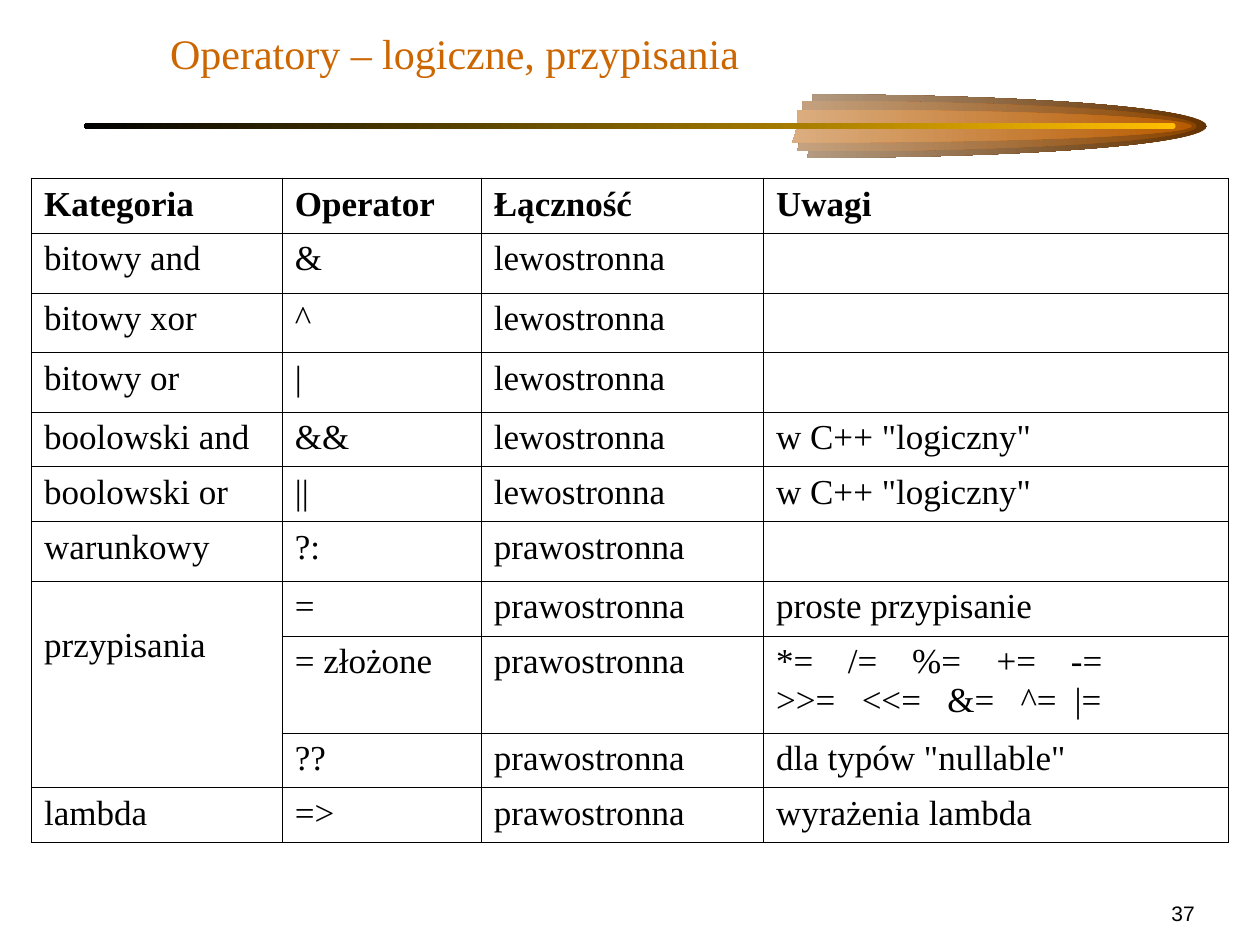
from math import cos, radians, sin, tan

from lxml.etree import SubElement
from pptx import Presentation
from pptx.dml.color import RGBColor
from pptx.enum.shapes import MSO_SHAPE
from pptx.enum.text import MSO_ANCHOR, MSO_AUTO_SIZE, PP_ALIGN
from pptx.oxml.ns import qn
from pptx.util import Inches, Pt

WIDTH, HEIGHT = 10, 7.5
SERIF, SANS = "Times New Roman", "Arial"
THICK, THIN = 1.08, 0.45

COLUMN_WIDTHS = [1.99, 1.58, 2.24, 3.69]
# Row heights in points
PLAIN, ROOMY, DOUBLE = 31.3, 34.05, 55.4
ROW_HEIGHTS = [PLAIN, ROOMY, ROOMY, ROOMY, PLAIN, PLAIN, ROOMY, PLAIN, DOUBLE,
               PLAIN, PLAIN]
LEFT_ASSOC, RIGHT_ASSOC = "lewostronna", "prawostronna"
OPERATORS = [
    ["Kategoria", "Operator", "Łączność", "Uwagi"],
    ["bitowy and", "&", LEFT_ASSOC, ""],
    ["bitowy xor", "^", LEFT_ASSOC, ""],
    ["bitowy or", "|", LEFT_ASSOC, ""],
    ["boolowski and", "&&", LEFT_ASSOC, 'w C++ "logiczny"'],
    ["boolowski or", "||", LEFT_ASSOC, 'w C++ "logiczny"'],
    ["warunkowy", "?:", RIGHT_ASSOC, ""],
    ["przypisania", "=", RIGHT_ASSOC, "proste przypisanie"],
    ["", "= złożone", RIGHT_ASSOC, "*=\t/=\t%=\t+=\t-=\n>>=\t<<=\t&=\t^=\t|="],
    ["", "??", RIGHT_ASSOC, 'dla typów "nullable"'],
    ["lambda", "=>", RIGHT_ASSOC, "wyrażenia lambda"],
]
ASSIGNMENT_ROWS = (7, 9)
COMPOUND_ROW = 8
COMPOUND_TABS = [[0.57, 1.08, 1.75, 2.34], [0.68, 1.36, 1.94, 2.37]]


def color(hex_value):
    return RGBColor.from_string(hex_value)


def box(left, top, width, height):
    """Turn shares of the slide into lengths."""
    return (Inches(left * WIDTH), Inches(top * HEIGHT),
            Inches(width * WIDTH), Inches(height * HEIGHT))


def write(frame, text, size=20, font=SERIF, fill="000000", bold=False,
          align=PP_ALIGN.LEFT, anchor=MSO_ANCHOR.TOP):
    frame.vertical_anchor = anchor
    for index, line in enumerate(text.split("\n")):
        paragraph = frame.add_paragraph() if index else frame.paragraphs[0]
        paragraph.alignment = align
        run = paragraph.add_run()
        run.text = line
        run.font.size = Pt(size)
        run.font.name = font
        run.font.bold = bold
        run.font.color.rgb = color(fill)


def set_tabs(paragraph, positions):
    tabs = SubElement(paragraph._p.get_or_add_pPr(), qn("a:tabLst"))
    for position in positions:
        tab = SubElement(tabs, qn("a:tab"))
        tab.set("pos", str(Inches(position)))
        tab.set("algn", "l")


def set_borders(cell, **widths):
    properties = cell._tc.get_or_add_tcPr()
    for index, side in enumerate("LRTB"):
        line = SubElement(properties, qn(f"a:ln{side}"))
        line.set("w", str(Pt(widths[side])))
        fill = SubElement(line, qn("a:solidFill"))
        SubElement(fill, qn("a:srgbClr")).set("val", "000000")
        properties.insert(index, line)


def paint_gradient(shape, right, left):
    shape.shadow.inherit = False
    shape.line.fill.background()
    shape.fill.gradient()
    shape.fill.gradient_angle = 180
    for stop, shade in zip(shape.fill.gradient_stops, (right, left)):
        stop.color.rgb = color(shade)


def add_half_ellipse(shapes, left, top, width, height):
    """Right half of the ellipse that fills the box, as three curves."""
    corners = [(left + width, top), (left + width, top + height),
               (left, top + height)]
    builder = shapes.build_freeform(left, top)
    builder.add_line_segments(corners, close=True)
    shape = builder.convert_to_shape()
    outline = next(shape._element.iter(qn("a:path")))
    for step in list(outline):
        outline.remove(step)

    def draw(command, *points):
        step = SubElement(outline, qn(f"a:{command}"))
        for x, y in points:
            point = SubElement(step, qn("a:pt"))
            point.set("x", str(round(width / 2 * (1 + x))))
            point.set("y", str(round(height / 2 * (1 + y))))

    # A point at the far left lets the gradient span the whole ellipse
    draw("moveTo", (-1, 0))
    draw("lnTo", (-1, 0))
    draw("close")

    first, last, curves = -90, 90.75, 3
    sweep = radians(last - first) / curves
    handle = 4 / 3 * tan(sweep / 4)
    draw("moveTo", (cos(radians(first)), sin(radians(first))))
    for index in range(curves):
        a = radians(first) + index * sweep
        b = a + sweep
        draw("cubicBezTo",
             (cos(a) - handle * sin(a), sin(a) + handle * cos(a)),
             (cos(b) + handle * sin(b), sin(b) - handle * cos(b)),
             (cos(b), sin(b)))
    draw("lnTo", (0, 0))
    draw("close")
    return shape


def add_comet(slide, area):
    """Three nested half ellipses and a bar, placed behind on the layout."""
    left, top, width, height = area
    comet = slide.shapes.add_group_shape()
    layers = [  # shift to the left, share of the height, colour at the tip
        (0, 1, "663300"),
        (0.08, 0.8, "894400"),
        (0.12, 0.52, "B75B00"),
    ]
    for shift, share, tip in layers:
        layer = add_half_ellipse(comet.shapes, left - Inches(shift),
                                 round(top + height * (1 - share) / 2),
                                 width, round(height * share))
        paint_gradient(layer, tip, "FFFFFF")

    bar = comet.shapes.add_shape(MSO_SHAPE.ROUNDED_RECTANGLE,
                                 *box(0.067, 0.13, 0.866, 0.0067))
    bar.adjustments[0] = 0.5
    paint_gradient(bar, "FFBF00", "000000")
    slide.slide_layout.shapes._spTree.append(comet._element)


def add_title(slide, area):
    title = slide.shapes.title
    title.left, title.top, title.width, title.height = area
    title.text_frame.auto_size = MSO_AUTO_SIZE.NONE
    write(title.text_frame, "Operatory – logiczne, przypisania", size=24,
          fill="CC6600", anchor=MSO_ANCHOR.BOTTOM)


def add_operator_table(slide, area):
    row_count, column_count = len(ROW_HEIGHTS), len(COLUMN_WIDTHS)
    table = slide.shapes.add_table(row_count, column_count, *area).table
    table.first_row = table.horz_banding = False
    for column, width in zip(table.columns, COLUMN_WIDTHS):
        column.width = Inches(width)
    for row, height in zip(table.rows, ROW_HEIGHTS):
        row.height = Pt(height)

    for r, values in enumerate(OPERATORS):
        for c, value in enumerate(values):
            cell = table.cell(r, c)
            cell.fill.background()
            if value:
                write(cell.text_frame, value, bold=r == 0)
            set_borders(cell,
                        L=THIN if c else THICK,
                        R=THIN if c < column_count - 1 else THICK,
                        T=THIN if r else THICK,
                        B=THIN if r < row_count - 1 else THICK)

    # The assignment category spans its three operators, one line down
    first, last = ASSIGNMENT_ROWS
    category = table.cell(first, 0)
    category.merge(table.cell(last, 0))
    category.margin_top = Inches(0.36)

    compound = table.cell(COMPOUND_ROW, column_count - 1)
    for paragraph, tabs in zip(compound.text_frame.paragraphs, COMPOUND_TABS):
        set_tabs(paragraph, tabs)


def add_page_number(slide, area):
    number = slide.shapes.add_textbox(*area)
    number.text_frame.word_wrap = True
    write(number.text_frame, "37", size=12, font=SANS,
          align=PP_ALIGN.RIGHT, anchor=MSO_ANCHOR.MIDDLE)


def main():
    deck = Presentation()
    deck.slide_width, deck.slide_height = Inches(WIDTH), Inches(HEIGHT)
    slide = deck.slides.add_slide(deck.slide_layouts[5])
    add_comet(slide, box(0.332, 0.1, 0.626, 0.067))
    add_title(slide, box(0.125, 0.022, 0.85, 0.067))
    add_operator_table(slide, box(0.025, 0.189, 0.95, 0.704))
    add_page_number(slide, box(0.85, 0.944, 0.108, 0.044))
    deck.save("out.pptx")


if __name__ == "__main__":
    main()
